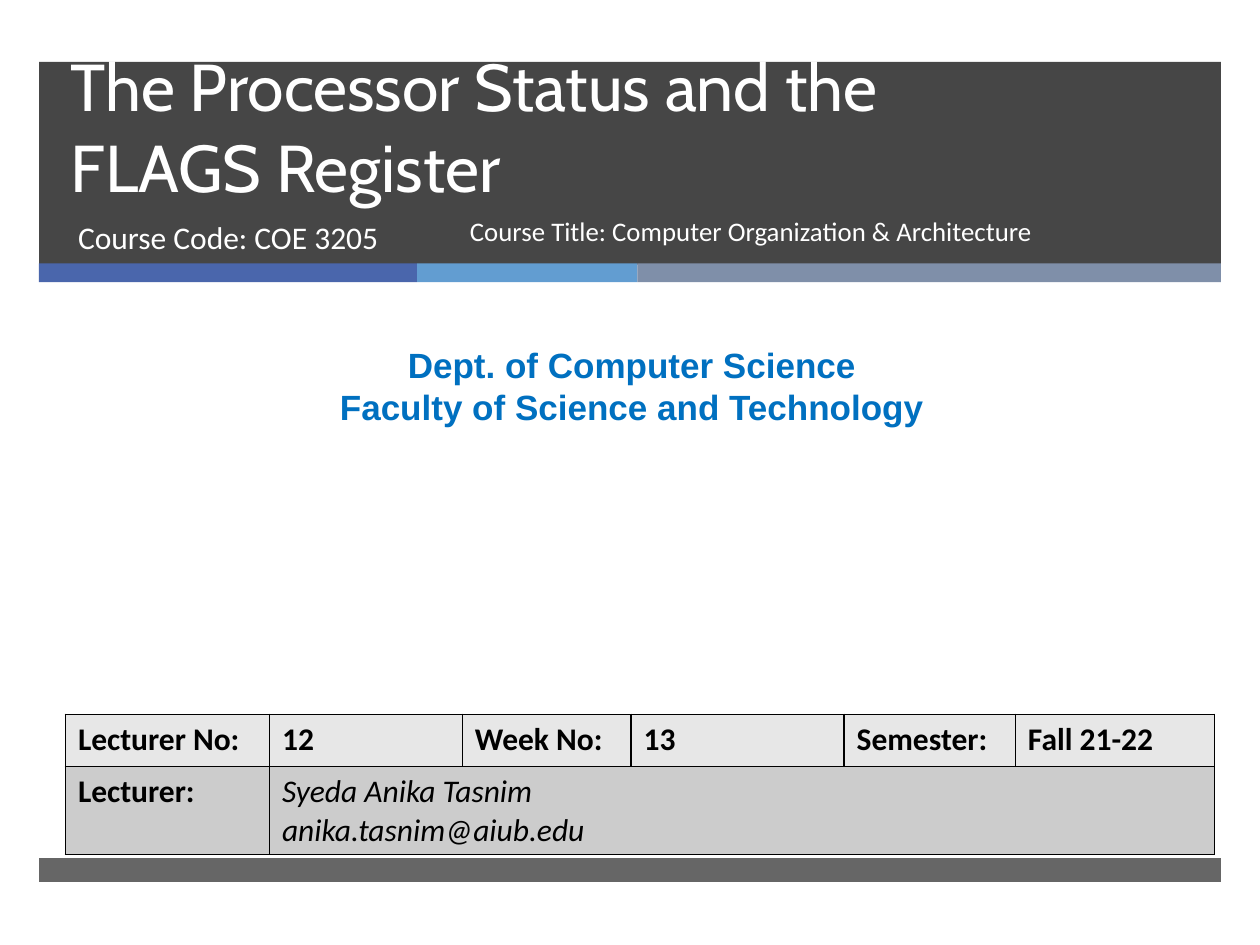
from dataclasses import dataclass
from typing import Optional

from lxml.etree import SubElement
from pptx import Presentation
from pptx.dml.color import RGBColor
from pptx.enum.shapes import MSO_SHAPE as Shape
from pptx.enum.text import MSO_ANCHOR as Anchor, MSO_AUTO_SIZE as AutoSize, PP_ALIGN as Align
from pptx.oxml.ns import qn
from pptx.util import Pt


@dataclass(frozen=True)
class Theme:
    """Colours, fonts and type sizes of the slide."""
    dark: str = "262626"
    accents: tuple = ("4A66AC", "629DD1", "7F8FA9")
    white: str = "FFFFFF"
    black: str = "000000"
    dept: str = "0070C0"
    rows: tuple = ("E7E7E7", "CCCCCC")
    title_font: str = "Cabin"
    body_font: str = "Calibri"
    dept_font: str = "Arial"
    title_size: float = 37.8
    dept_size: float = 20
    body_size: float = 18
    course_size: float = 15.3


@dataclass(frozen=True)
class Box:
    """A rectangle in points."""
    x: float
    y: float
    w: float
    h: float

    def emu(self) -> tuple:
        """Return the four lengths as Pt values."""
        return Pt(self.x), Pt(self.y), Pt(self.w), Pt(self.h)


@dataclass(frozen=True)
class Bar:
    """A plain coloured bar."""
    box: Box
    color: str
    alpha: Optional[int] = None


T = Theme()
LEFT, WIDTH = 22.3, 675.4
STRIP_Y, STRIP_H = 150.5, 10.8
STRIP_WIDTHS = (216, 126, 333.4)
COL_WIDTHS = (116.6, 110.2, 96.5, 121.7, 97.9, 113.8)
ROW_HEIGHTS = (29.8, 50.4)
DETAILS = (
    ("Lecturer No:", "12", "Week No:", "13", "Semester:", "Fall 21-22"),
    ("Lecturer:", "Syeda Anika Tasnim\nanika.tasnim@aiub.edu"),
)


def write(tf, text: str, *, size: float, font: str, color: str, bold: bool = False,
          italic: bool = False, align=Align.LEFT, spacing=None) -> None:
    """Fill a text frame, one paragraph for each line of text."""
    tf.word_wrap = True
    for i, line in enumerate(text.split("\n")):
        p = tf.paragraphs[0] if i == 0 else tf.add_paragraph()
        p.text = line
        p.alignment = align
        p.space_before = Pt(0)
        p.line_spacing = spacing
        for r in p.runs:
            r.font.name = font
            r.font.size = Pt(size)
            r.font.bold = bold
            r.font.italic = italic
            r.font.color.rgb = RGBColor.from_string(color)


def place(sp, box: Box, anchor):
    """Move a placeholder and return its text frame."""
    sp.left, sp.top, sp.width, sp.height = box.emu()
    tf = sp.text_frame
    tf.auto_size = AutoSize.NONE
    tf.vertical_anchor = anchor
    return tf


def draw_bar(s, bar: Bar) -> None:
    """Draw a bar without outline or shadow."""
    sp = s.shapes.add_shape(Shape.RECTANGLE, *bar.box.emu())
    sp.shadow.inherit = False
    sp.line.fill.background()
    sp.fill.solid()
    sp.fill.fore_color.rgb = RGBColor.from_string(bar.color)
    if bar.alpha is not None:
        clr = sp.element.spPr.find(qn("a:solidFill")).find(qn("a:srgbClr"))
        SubElement(clr, qn("a:alpha"), val=str(bar.alpha * 1000))


def style_cell(cell, color: str) -> None:
    """Give a cell thin black borders and a fill."""
    tc_pr = cell._tc.get_or_add_tcPr()
    for side in ("a:lnL", "a:lnR", "a:lnT", "a:lnB"):
        ln = SubElement(tc_pr, qn(side), w=str(Pt(1)))
        SubElement(SubElement(ln, qn("a:solidFill")), qn("a:srgbClr"), val=T.black)
    cell.fill.solid()
    cell.fill.fore_color.rgb = RGBColor.from_string(color)


def draw_details(s) -> None:
    """Draw the lecture details table."""
    box = Box(37.4, 408.2, sum(COL_WIDTHS), sum(ROW_HEIGHTS))
    table = s.shapes.add_table(len(ROW_HEIGHTS), len(COL_WIDTHS), *box.emu()).table
    for col, width in zip(table.columns, COL_WIDTHS):
        col.width = Pt(width)
    table.cell(1, 1).merge(table.cell(1, len(COL_WIDTHS) - 1))
    for i, (row, height) in enumerate(zip(table.rows, ROW_HEIGHTS)):
        row.height = Pt(height)
        for cell in row.cells:
            style_cell(cell, T.rows[i])
        for j, text in enumerate(DETAILS[i]):
            name = (i, j) == (1, 1)
            write(table.cell(i, j).text_frame, text, size=T.body_size, font=T.body_font,
                  color=T.black, bold=not name, italic=name)


def main() -> None:
    """Build the title slide."""
    prs = Presentation()
    prs.slide_width, prs.slide_height = Pt(720), Pt(540)
    s = prs.slides.add_slide(prs.slide_layouts[0])
    title, subtitle = s.shapes.title, s.placeholders[1]

    bars = [Bar(Box(LEFT, 35.3, WIDTH, 115.9), T.dark, 85)]
    x = LEFT
    for width, color in zip(STRIP_WIDTHS, T.accents):
        bars.append(Bar(Box(x, STRIP_Y, width, STRIP_H), color))
        x += width
    bars.append(Bar(Box(LEFT, 490.3, WIDTH, 13.7), T.dark, 70))
    for bar in bars:
        draw_bar(s, bar)
    for sp in (title, subtitle):
        s.shapes._spTree.append(sp.element)

    write(place(title, Box(33.1, 35.3, 614.9, 85.7), Anchor.BOTTOM),
          "The Processor Status and the \vFLAGS Register", size=T.title_size,
          font=T.title_font, color=T.white, spacing=Pt(46))
    write(place(subtitle, Box(37.4, 121, 219.6, 38.2), Anchor.TOP),
          "Course Code: COE 3205", size=T.body_size, font=T.body_font, color=T.white)
    dept = s.shapes.add_textbox(*Box(5.8, 193, 710.6, 55.4).emu())
    write(dept.text_frame, "Dept. of Computer Science\nFaculty of Science and Technology",
          size=T.dept_size, font=T.dept_font, color=T.dept, bold=True, align=Align.CENTER)
    draw_details(s)
    course = s.shapes.add_textbox(*Box(261.4, 121, 337.7, 38.2).emu())
    write(course.text_frame, "Course Title: Computer Organization & Architecture",
          size=T.course_size, font=T.body_font, color=T.white, spacing=0.9)
    prs.save("out.pptx")


if __name__ == "__main__":
    main()
